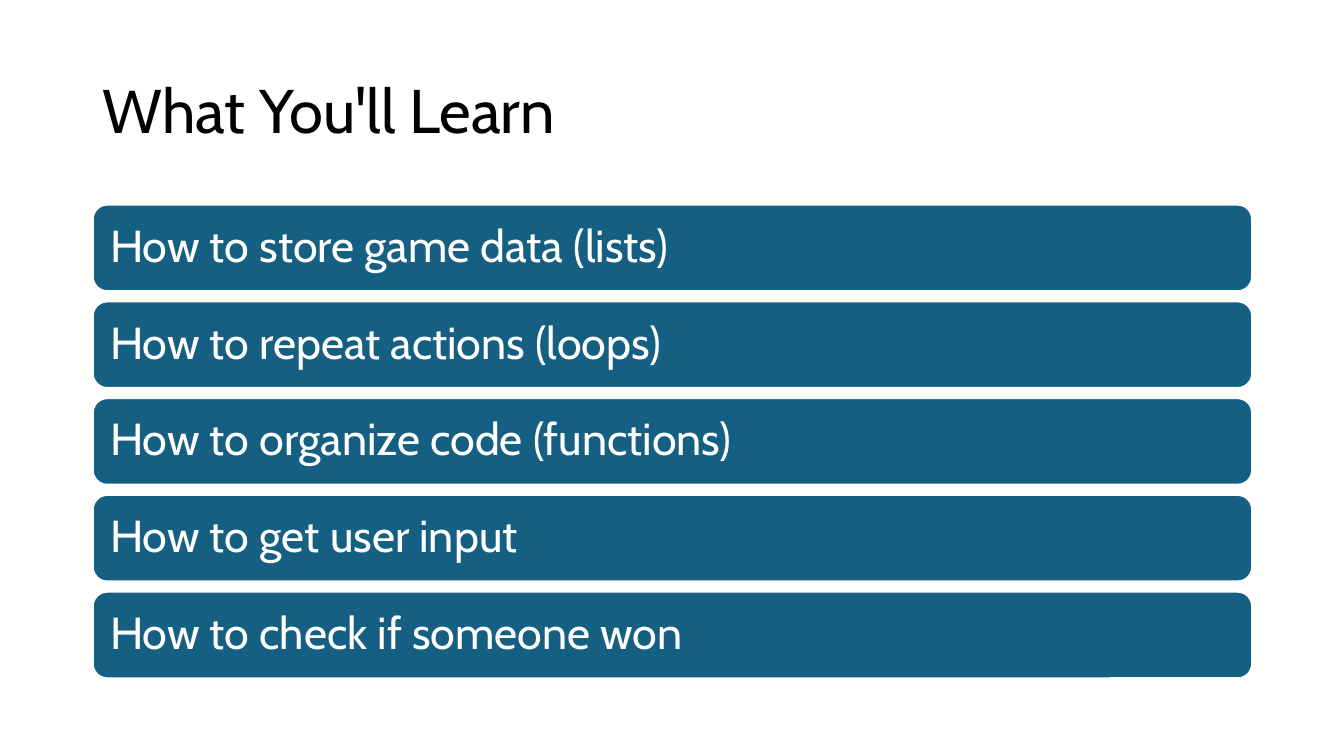
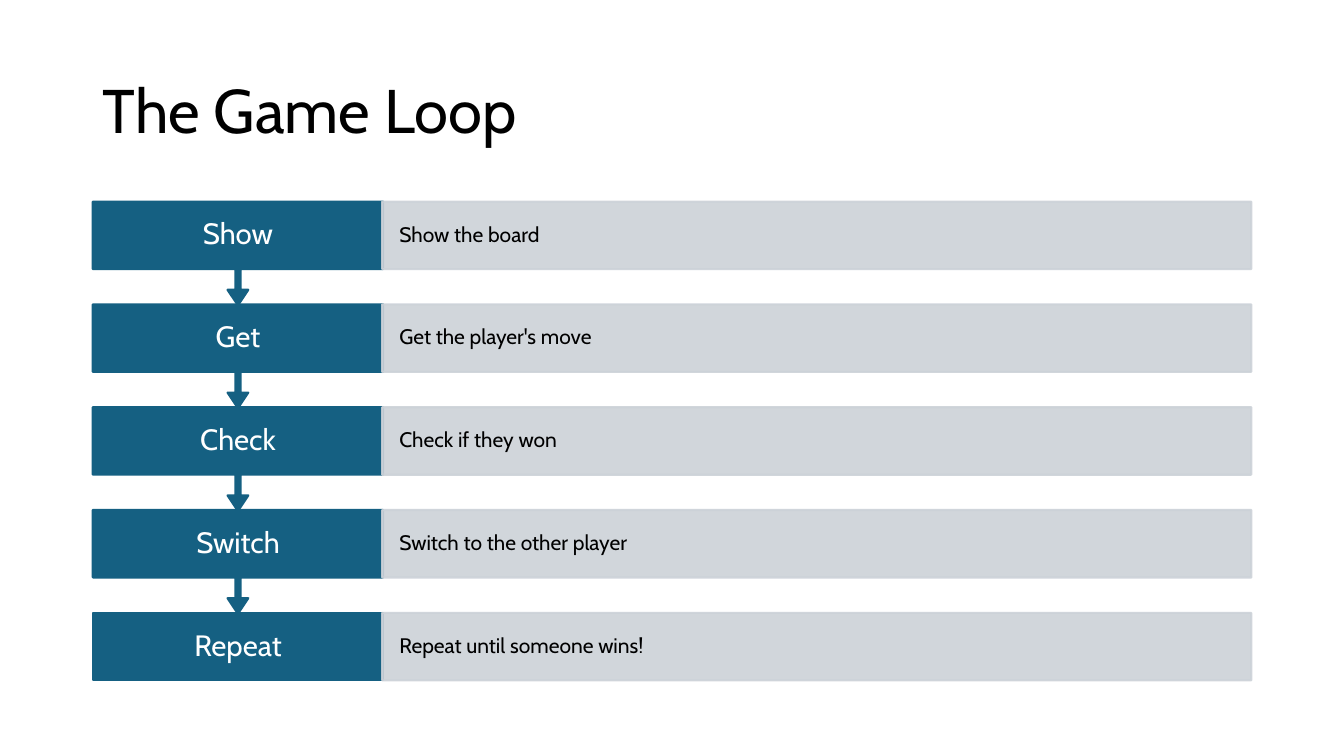
from lxml.etree import SubElement
from pptx import Presentation
from pptx.dml.color import RGBColor
from pptx.enum.shapes import MSO_SHAPE
from pptx.enum.text import MSO_ANCHOR, PP_ALIGN
from pptx.oxml.ns import qn
from pptx.util import Pt

EMU_PER_PX = 9144  # 100 px to the inch
SLIDE_WIDTH, SLIDE_HEIGHT = 1333, 750
LEFT, CONTENT_WIDTH = 92, 1150
FONT = "Cabin"
COLORS = {
    "text": "000000",
    "light": "FFFFFF",
    "blue": "156082",
    "gray": "CCD2D8",
}


def px(length):
    return length * EMU_PER_PX


def rgb(name):
    return RGBColor.from_string(COLORS[name])


class Deck:
    """Holds the shared style and the current slide."""

    def __init__(self):
        self.presentation = Presentation()
        self.presentation.slide_width = px(SLIDE_WIDTH)
        self.presentation.slide_height = px(SLIDE_HEIGHT)
        self.slide = None

    def add_slide(self, title):
        blank_layout = self.presentation.slide_layouts[6]
        self.slide = self.presentation.slides.add_slide(blank_layout)
        box = self.slide.shapes.add_textbox(
            px(LEFT), px(40), px(CONTENT_WIDTH), px(145))
        self.set_text(box, title, 44, "text", (10, 5))

    def set_text(self, shape, text, size, color, insets, align=PP_ALIGN.LEFT):
        frame = shape.text_frame
        frame.word_wrap = True
        frame.vertical_anchor = MSO_ANCHOR.MIDDLE
        frame.margin_left = frame.margin_right = px(insets[0])
        frame.margin_top = frame.margin_bottom = px(insets[1])
        paragraph = frame.paragraphs[0]
        paragraph.text = text
        paragraph.alignment = align
        paragraph.line_spacing = 0.9
        paragraph.font.name = FONT
        paragraph.font.size = Pt(size)
        paragraph.font.color.rgb = rgb(color)

    def panel(self, kind, box, fill, line, opacity=100):
        shape = self.slide.shapes.add_shape(kind, *map(px, box))
        shape.shadow.inherit = False
        shape.fill.solid()
        shape.fill.fore_color.rgb = rgb(fill)
        shape.line.color.rgb = rgb(line)
        shape.line.width = Pt(1.5)
        if opacity < 100:
            for color in list(shape.element.spPr.iter(qn("a:srgbClr"))):
                SubElement(color, qn("a:alpha"), val=str(opacity * 1000))
        return shape

    def topic_bar(self, top, text):
        bar = self.panel(MSO_SHAPE.ROUNDED_RECTANGLE,
                         (LEFT, top, CONTENT_WIDTH, 86), "blue", "light")
        self.set_text(bar, text, 32, "light", (13, 13))

    def step(self, top, name, description, is_last):
        name_width, height, callout_height = 288, 67, 103
        if is_last:
            label = self.panel(MSO_SHAPE.RECTANGLE,
                               (LEFT, top, name_width, height), "blue", "blue")
        else:
            label = self.panel(MSO_SHAPE.DOWN_ARROW_CALLOUT,
                               (LEFT, top, name_width, callout_height), "blue", "blue")
            # Shaft width, head half-width, head length, box share
            for index, value in enumerate((0.05, 0.1, 0.15, 0.65)):
                label.adjustments[index] = value
        self.set_text(label, name, 21, "light", (20, 16), PP_ALIGN.CENTER)

        detail_left = LEFT + name_width - 1
        detail = self.panel(MSO_SHAPE.RECTANGLE, (detail_left, top, 862, height),
                            "gray", "gray", opacity=90)
        self.set_text(detail, description, 15, "text", (17, 21))


def main():
    deck = Deck()

    # Topics
    deck.add_slide("What You'll Learn")
    topics = (
        "How to store game data (lists)",
        "How to repeat actions (loops)",
        "How to organize code (functions)",
        "How to get user input",
        "How to check if someone won",
    )
    for index, topic in enumerate(topics):
        deck.topic_bar(203 + 96 * index, topic)

    # Game loop steps
    deck.add_slide("The Game Loop")
    steps = (
        ("Show", "Show the board"),
        ("Get", "Get the player's move"),
        ("Check", "Check if they won"),
        ("Switch", "Switch to the other player"),
        ("Repeat", "Repeat until someone wins!"),
    )
    for index, (name, description) in enumerate(steps):
        deck.step(200 + 102 * index, name, description, index == len(steps) - 1)

    deck.presentation.save("out.pptx")


if __name__ == "__main__":
    main()
